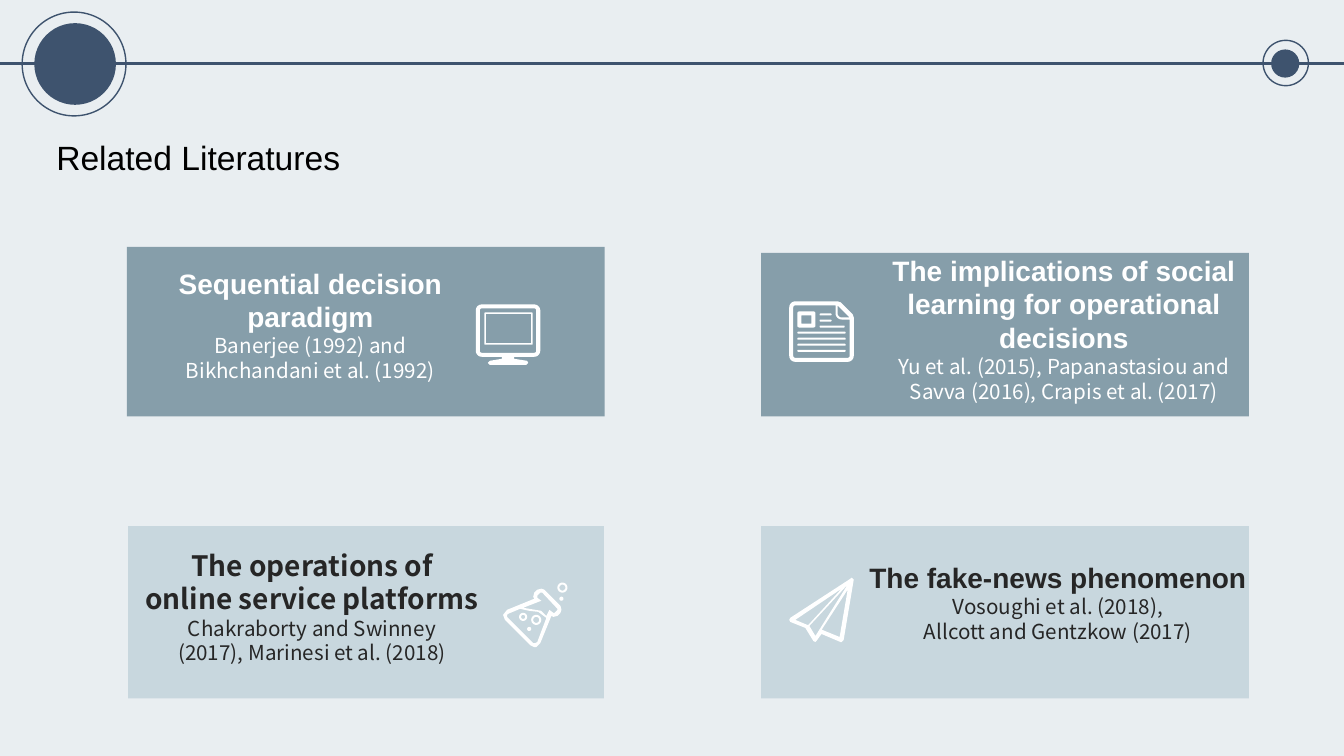
import math
from dataclasses import dataclass

import pptx
import pptx.dml.color
import pptx.enum.shapes
import pptx.enum.text
import pptx.oxml.ns
import pptx.util
from lxml import etree

WIDE, HIGH = pptx.util.Inches(13.333), pptx.util.Inches(7.5)
ROWS = 750
CELL = HIGH / ROWS
COLS = WIDE / CELL
KIND = pptx.enum.shapes.MSO_SHAPE
ALIGN = pptx.enum.text.PP_ALIGN


@dataclass(frozen=True)
class Theme:
    back: str = "E9EEF1"
    navy: str = "3E536E"
    steel: str = "869EAA"
    pale: str = "C8D7DE"
    white: str = "FFFFFF"
    dark: str = "262626"
    black: str = "000000"
    sans: str = "Arial"
    noto: str = "Noto Sans CJK SC"
    title: float = 24
    head: float = 20
    note: float = 14.7


LOOK = Theme()


def grid(*cells):
    return [round(cell * CELL) for cell in cells]


def tint(code):
    return pptx.dml.color.RGBColor.from_string(code)


def paint(shape, fill=None, edge=None, width=1):
    shape.shadow.inherit = False
    if fill:
        shape.fill.solid()
        shape.fill.fore_color.rgb = tint(fill)
    else:
        shape.fill.background()
    if edge:
        shape.line.color.rgb = tint(edge)
        shape.line.width = pptx.util.Pt(width)
    else:
        shape.line.fill.background()


def block(slide, kind, area, **style):
    paint(slide.shapes.add_shape(kind, *grid(*area)), **style)


def write(para, text, font=LOOK.sans, size=LOOK.head, color=LOOK.black,
          bold=False, align=ALIGN.LEFT):
    para.alignment = align
    para.space_before = pptx.util.Pt(0)
    run = para.add_run()
    run.text = text
    run.font.name = font
    run.font.size = pptx.util.Pt(size)
    run.font.bold = bold
    run.font.color.rgb = tint(color)


def frame(slide, area, wrap=True, inset=0):
    body = slide.shapes.add_textbox(*grid(*area)).text_frame
    body.word_wrap = wrap
    body.margin_left = body.margin_right = round(inset * CELL)
    body.margin_top = body.margin_bottom = round(inset * CELL / 2)
    return body


def arc(x, y, radius, start=0, sweep=360, steps=24):
    turns = [math.radians(start + sweep * i / steps) for i in range(steps + 1)]
    return [(x + radius * math.cos(t), y + radius * math.sin(t)) for t in turns]


def box(x, y, wide, high, radius=1):
    right, low = x + wide - radius, y + high - radius
    spots = [(x + radius, y + radius), (right, y + radius), (right, low), (x + radius, low)]
    return [dot for i, (a, b) in enumerate(spots)
            for dot in arc(a, b, radius, 180 + 90 * i, 90, 5)]


def ring(x, y, outer, inner):
    return [arc(x, y, outer), arc(x, y, inner)]


def trace(shapes, loops):
    first, *rest = [[grid(*dot) for dot in loop] for loop in loops]
    pen = shapes.build_freeform(*first[0])
    pen.add_line_segments(first[1:], close=True)
    for loop in rest:
        pen.move_to(*loop[0])
        pen.add_line_segments(loop[1:], close=True)
    paint(pen.convert_to_shape(), fill=LOOK.white)


def icon(slide, parts):
    shapes = slide.shapes
    if len(parts) > 1:
        shapes = shapes.add_group_shape().shapes
    for loops in parts:
        trace(shapes, loops)


def screen():
    stand = [(498, 354), (510, 354), (510, 356), (523, 358), (524, 360), (522, 362),
             (486, 362), (484, 360), (486, 358), (498, 356)]
    return [[box(472, 302, 64, 52, 6), box(476, 306, 56, 44, 2),
             box(480.5, 310, 48, 32), box(482, 311.5, 45, 29, 0.1), stand]]


def paper():
    edge = [*arc(789, 305, 6, 180, 90, 6), (831, 299), (834, 300), (846, 312), (847, 315),
            *arc(841, 353, 6, 0, 90, 6), *arc(789, 353, 6, 90, 90, 6)]
    inner = [*arc(789, 305, 2, 180, 90, 6), (829, 303), *arc(835, 311, 6, 180, -90, 6),
             (843, 317), *arc(841, 353, 2, 0, 90, 6), *arc(789, 353, 2, 90, 90, 6)]
    fold = [(831, 303), (843, 315), *arc(835, 311, 4, 90, 90, 6)]
    short = [(813, 311, 12), (813, 317, 12), (813, 323, 25)]
    full = [(791, 329 + 6 * i, 48) for i in range(4)]
    bars = [[box(x, y, wide, 2)] for x, y, wide in short + full]
    return [[edge, inner, fold], *bars, [box(791, 309, 18, 16, 2), box(795, 313, 10, 8, 0.1)]]


def flask():
    edge = [(540, 585), (537, 584), (533, 585), (530, 588), (529, 592), (530, 594),
            (503, 605), (499, 610), (501, 615), (526, 640), (530, 642), (532, 642),
            (536, 638), (547, 611), (549, 612), (553, 611), (556, 608), (557, 605), (556, 601)]
    fluid = [(533, 637), (531, 638), (529, 638), (503, 612), (503, 610), (504, 609),
             (516, 604), (525, 606), (534, 607), (542, 613)]
    neck = [(553, 605), (550, 608), (549, 608), (545, 605), (542, 611), (537, 606),
            (525, 604), (519, 603), (537, 596), (533, 593), (533, 591), (536, 588),
            (538, 588), (553, 604)]
    return [[edge, fluid, neck], ring(532, 615, 5, 3), ring(558, 583, 5, 3),
            ring(519, 612, 4, 2), [arc(525, 624, 2)], [arc(557, 594, 2)]]


def plane():
    edge = [(846, 574), (845, 573), (844, 574), (784, 613), (783, 615), (784, 617),
            (799, 623), (807, 636), (809, 637), (810, 636), (815, 629), (834, 637),
            (835, 637), (837, 635), (847, 575)]
    wing = [(789, 615), (835, 584), (802, 620), (801, 620)]
    keel = [(803, 621), (841, 580), (809, 631)]
    side = [(833, 632), (816, 625), (815, 625), (841, 585)]
    return [[edge, wing, keel, side]]


CARDS = [
    ((126, 245, 474, 168), (126, 264, 364, 144), LOOK.steel, LOOK.white, LOOK.sans, screen,
     ["Sequential decision paradigm"],
     ["Banerjee (1992) and", "Bikhchandani et al. (1992)"]),
    ((755, 251, 484, 162), (865, 251, 381, 181), LOOK.steel, LOOK.white, LOOK.sans, paper,
     ["The implications of social learning for operational decisions"],
     ["Yu et al. (2015), Papanastasiou and", "Savva (2016), Crapis et al. (2017)"]),
    ((127, 522, 472, 171), (132, 544, 355, 128), LOOK.pale, LOOK.dark, LOOK.noto, flask,
     ["The operations of", "online service platforms"],
     ["Chakraborty and Swinney", "(2017), Marinesi et al. (2018)"]),
    ((755, 522, 484, 171), (847, 556, 405, 93), LOOK.pale, LOOK.dark, LOOK.sans, plane,
     ["The fake-news phenomenon"],
     ["Vosoughi et al. (2018),", "Allcott and Gentzkow (2017)"]),
]


def card(slide, area, room, fill, ink, font, draw, heads, notes):
    block(slide, KIND.RECTANGLE, area, fill=fill)
    icon(slide, draw())
    body = frame(slide, room)
    lines = [(text, font, LOOK.head, True) for text in heads]
    lines += [(text, LOOK.noto, LOOK.note, False) for text in notes]
    for i, (text, face, size, bold) in enumerate(lines):
        para = body.add_paragraph() if i else body.paragraphs[0]
        write(para, text, font=face, size=size, color=ink, bold=bold, align=ALIGN.CENTER)


def rail(slide):
    line = slide.shapes.add_connector(
        pptx.enum.shapes.MSO_CONNECTOR.STRAIGHT, *grid(0, 63, COLS, 63))
    line.line.color.rgb = tint(LOOK.navy)
    line.line.width = pptx.util.Pt(2)
    etree.SubElement(line._element.spPr, pptx.oxml.ns.qn("a:effectLst"))
    for x, y, size, left, top, span in [(34, 23, 81, 22, 12, 103), (1261, 49, 28, 1253, 40, 45)]:
        block(slide, KIND.OVAL, (x, y, size, size), fill=LOOK.navy)
        block(slide, KIND.OVAL, (left, top, span, span), edge=LOOK.navy)


def main():
    deck = pptx.Presentation()
    deck.slide_width, deck.slide_height = WIDE, HIGH
    slide = deck.slides.add_slide(deck.slide_layouts[6])
    slide.background.fill.solid()
    slide.background.fill.fore_color.rgb = tint(LOOK.back)
    for item in CARDS:
        card(slide, *item)
    rail(slide)
    title = frame(slide, (46, 131, 305, 50), wrap=False, inset=10)
    write(title.paragraphs[0], "Related Literatures", size=LOOK.title)
    deck.save("out.pptx")


if __name__ == "__main__":
    main()
